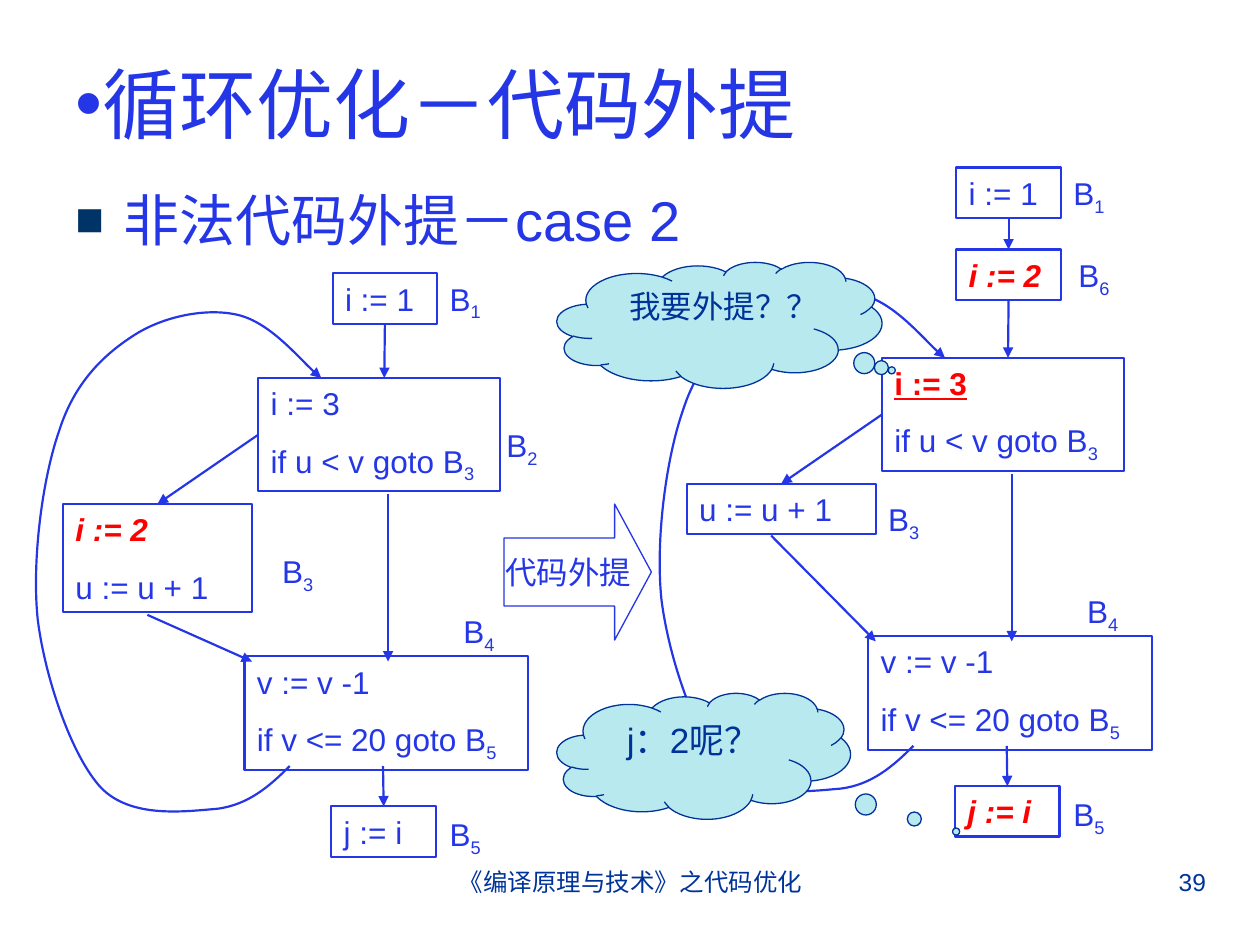
from lxml import etree
from pptx import Presentation
from pptx import util as u
from pptx.dml.color import RGBColor
from pptx.enum import shapes, text
from pptx.oxml import ns

BLUE, NAVY, RED, AQUA = "2436E6", "003399", "FF0000", "B8E9EE"
HOT = dict(color=RED, bold=True, italic=True)
LINED = dict(color=RED, bold=True, underline=True)
LEFT, MID, RIGHT = text.PP_ALIGN.LEFT, text.PP_ALIGN.CENTER, text.PP_ALIGN.RIGHT
KIND = shapes.MSO_SHAPE
TOP, WEST, BASE = 0, 1, 2
LOOP = [(2.05, 3.64), (1.89, 3.8), (1.72, 3.95), (1.47, 3.98), (1.22, 4),
        (0.79, 4.06), (0.55, 3.81), (0.32, 3.56), (0.11, 2.95), (0.05, 2.48),
        (0, 2), (0.09, 1.35), (0.22, 0.98), (0.34, 0.6), (0.57, 0.38),
        (0.8, 0.23), (1.04, 0.07), (1.39, 0), (1.64, 0.06), (1.89, 0.12),
        (2.19, 0.48), (2.3, 0.56)]


def rgb(code):
    """Turn a hex string into a colour."""
    return RGBColor.from_string(code)


def node(host, tag, **attrs):
    """Append an XML element to its host."""
    return etree.SubElement(host, ns.qn(tag), attrs)


def mark(par, char, color, size=100, hang=0):
    """Give a paragraph a bullet."""
    props = par._p.get_or_add_pPr()
    props.set("marL", str(u.Inches(hang)))
    props.set("indent", str(-u.Inches(hang)))
    node(node(props, "a:buClr"), "a:srgbClr", val=color)
    node(props, "a:buSzPct", val=str(size * 1000))
    node(props, "a:buFont", typeface="Arial")
    node(props, "a:buChar", char=char)


def write(shape, words, size=18, color=BLUE, align=LEFT, anchor=text.MSO_ANCHOR.TOP,
          wrap=True, bullet=None, **style):
    """Add a paragraph, where an underscore starts a subscript."""
    frame = shape.text_frame
    frame.word_wrap, frame.vertical_anchor = wrap, anchor
    par = frame.paragraphs[0]
    if par.runs:
        par = frame.add_paragraph()
        par.space_before = u.Pt(11.2)
    par.alignment = align
    if bullet:
        mark(par, **bullet)
    for place, part in enumerate(words.split("_")):
        run = par.add_run()
        run.text = part
        font = run.font
        font.name, font.size, font.color.rgb = "Arial", u.Pt(size), rgb(color)
        for key, value in style.items():
            setattr(font, key, value)
        if place:
            font._element.set("baseline", "-25000")


def label(host, x, y, words, wide=0.83, high=0.44, **style):
    """Place a text box."""
    box = host.shapes.add_textbox(*map(u.Inches, (x, y, wide, high)))
    write(box, words, **style)


def form(host, kind, x, y, wide, high, fill=None, line=BLUE, width=0.75, adjust=()):
    """Place a preset shape."""
    shape = host.shapes.add_shape(kind, *map(u.Inches, (x, y, wide, high)))
    shape.shadow.inherit = False
    for place, value in enumerate(adjust):
        shape.adjustments[place] = value
    if fill:
        shape.fill.solid()
        shape.fill.fore_color.rgb = rgb(fill)
    else:
        shape.fill.background()
    shape.line.color.rgb, shape.line.width = rgb(line), u.Pt(width)
    return shape


def block(host, x, y, wide, high, *lines):
    """Place a basic block with its lines of code."""
    shape = form(host, KIND.RECTANGLE, x, y, wide, high, width=1.25)
    for words, style in lines:
        write(shape, words, **style)
    return shape


def point(shape):
    """Style a line and put an arrowhead on its end."""
    shape.line.color.rgb, shape.line.width = rgb(BLUE), u.Pt(1.25)
    props = shape._element.spPr
    node(props.find(ns.qn("a:ln")), "a:tailEnd", type="triangle")
    if props.find(ns.qn("a:effectLst")) is None:
        node(props, "a:effectLst")


def arrow(host, start, end):
    """Link two ends, each a point or a block with a side."""
    spots = [(0, 0) if hasattr(spot[0], "shape_type") else map(u.Inches, spot)
             for spot in (start, end)]
    (x, y), (right, low) = spots
    link = host.shapes.add_connector(shapes.MSO_CONNECTOR.STRAIGHT, x, y, right, low)
    for spot, join in ((start, link.begin_connect), (end, link.end_connect)):
        if hasattr(spot[0], "shape_type"):
            join(*spot)
    point(link)


def curve(host, x, y):
    """Draw the back edge as a chain of cubic curves."""
    spots = [(u.Inches(x + a), u.Inches(y + b)) for a, b in LOOP]
    pen = host.shapes.build_freeform(*spots[0])
    pen.add_line_segments(spots[1:], close=False)
    shape = pen.convert_to_shape()
    shape.shadow.inherit = False
    shape.fill.background()
    steps = list(shape._element.iter(ns.qn("a:lnTo")))
    for first in range(0, len(steps), 3):
        bend = etree.Element(ns.qn("a:cubicBezTo"))
        steps[first].addprevious(bend)
        for step in steps[first:first + 3]:
            bend.append(step[0])
            step.getparent().remove(step)
    point(shape)


def graph(slide, x, y, entry, head, body, deep, tags, leave, last):
    """Draw a flow graph whose back edge has its top left at x, y."""
    host = slide.shapes.add_group_shape()
    above = None
    for top, code in entry:
        start = block(host, x + 2.39, y + top, 0.83, 0.4, code)
        if above:
            arrow(host, (above, BASE), (start, TOP))
        above = start
    test = block(host, x + 1.8, y + 0.56, 1.92, 0.9, head, ("if u < v goto B_3", {}))
    side = block(host, x + 0.25, y + 1.56, 1.5, deep, *body)
    block(host, x + 1.69, y + 2.77, 2.25, 0.9,
          ("v := v -1", {}), ("if v <= 20 goto B_5", {}))
    end = block(host, x + 2.38, y + 3.96, 0.83, 0.4, last)
    tags = tags + [("B_4", 3.33, 2.37), ("B_5", 3.22, 3.98)]
    for words, across, down in tags:
        label(host, x + across, y + down, words)
    arrow(host, (start, BASE), (x + 2.8, y + 0.56))
    arrow(host, (test, WEST), (side, TOP))
    arrow(host, (x + 0.92, y + leave), (x + 1.75, y + 2.81))
    arrow(host, (x + 2.83, y + 1.48), (x + 2.83, y + 2.81))
    arrow(host, (x + 2.79, y + 3.64), (end, TOP))
    curve(host, x, y)


def cloud(slide, x, y, wide, adjust, words, size):
    """Place a thought cloud."""
    shape = form(slide, KIND.CLOUD_CALLOUT, x, y, wide, 1, AQUA, NAVY, adjust=adjust)
    write(shape, words, size=size, color=NAVY, align=MID)


def heads(slide):
    """Place the footer, number, title and subtitle."""
    label(slide, 3.42, 6.83, "《编译原理与技术》之代码优化", 3.17, 0.52,
          size=14, color=NAVY, align=MID)
    label(slide, 7.17, 6.83, "39", 2.5, 0.52, size=14, color=NAVY, align=RIGHT)
    label(slide, 0.5, 0.3, "循环优化－代码外提", 9, 1.03, size=44,
          anchor=text.MSO_ANCHOR.MIDDLE, bullet=dict(char="•", color=BLUE))
    label(slide, 0.5, 1.42, "非法代码外提－case 2", 9, 5.28, size=32,
          bullet=dict(char="■", color="003366", size=85, hang=0.38))


def main():
    """Build and save the slide."""
    deck = Presentation()
    deck.slide_width, deck.slide_height = u.Inches(10), u.Inches(7.5)
    slide = deck.slides.add_slide(deck.slide_layouts[6])
    heads(slide)
    shape = form(slide, KIND.RIGHT_ARROW, 4, 4, 1.17, 1.08, adjust=(0.5, 0.27))
    write(shape, "代码外提", align=MID, anchor=text.MSO_ANCHOR.MIDDLE, wrap=False)
    graph(slide, 0.25, 2.44, [(-0.27, ("i := 1", {}))], ("i := 3", {}),
          [("i := 2", HOT), ("u := u + 1", {})], 0.86,
          [("B_1", 3.22, -0.27), ("B_2", 3.67, 0.89), ("B_3", 1.89, 1.89)],
          2.44, ("j := i", {}))
    graph(slide, 5.2, 2.28, [(-0.95, ("i := 1", {})), (-0.3, ("i := 2", HOT))],
          ("i := 3", LINED), [("u := u + 1", {})], 0.4,
          [("B_1", 3.22, -0.95), ("B_6", 3.26, -0.3), ("B_3", 1.75, 1.64)],
          1.97, ("j := i", HOT))
    cloud(slide, 4.42, 5.5, 2.33, (0.86, 0.6), "j：2呢？", 20)
    cloud(slide, 4.42, 2.08, 2.58, (0.53, 0.36), "我要外提？？", 18)
    deck.save("out.pptx")


if __name__ == "__main__":
    main()
